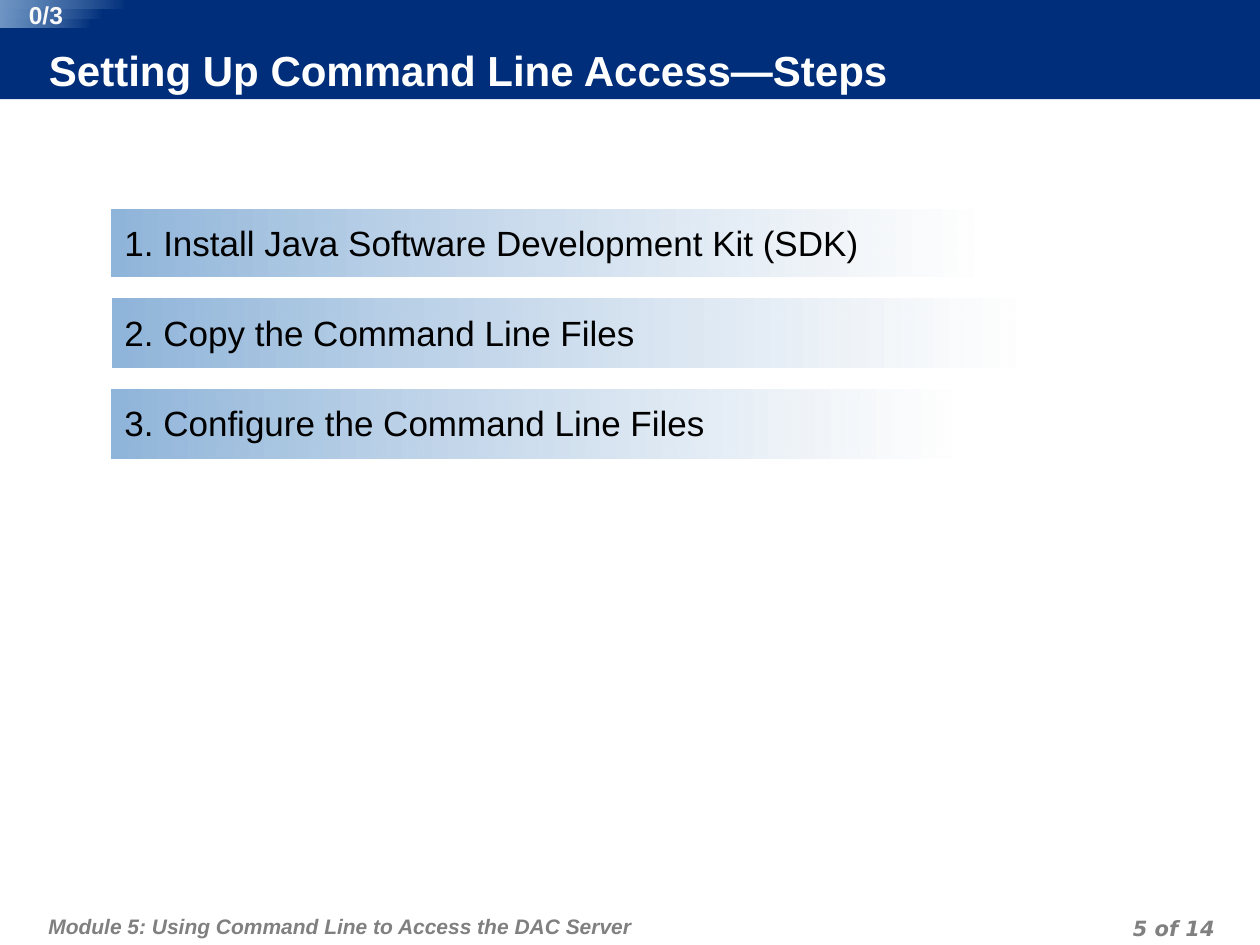
from pptx import Presentation
from pptx.dml.color import RGBColor
from pptx.enum.shapes import MSO_SHAPE as SHAPE
from pptx.enum.text import MSO_ANCHOR as ANCHOR, PP_ALIGN as ALIGN
from pptx.oxml.ns import qn
from pptx.util import Pt
from lxml import etree

COLORS = {
    "navy": "002E7A",
    "sky": "90B5DA",
    "fade": "FEFEFE",
    "white": "FFFFFF",
    "counter": "F8F8F8",
    "text": "000000",
    "footer": "808080",
}
SLIDE_W, SLIDE_H = 720, 540
STEPS = [
    ("1. Install Java Software Development Kit (SDK)", 119.5, 492.5, 38.5),
    ("2. Copy the Command Line Files", 170.5, 516.5, 39.5),
    ("3. Configure the Command Line Files", 222.5, 479.5, 39.5),
]


def color(name):
    return RGBColor.from_string(COLORS[name])


def add_box(slide, x, y, w, h, fill=None, kind=SHAPE.RECTANGLE):
    sp = slide.shapes.add_shape(kind, Pt(x), Pt(y), Pt(w), Pt(h))
    sp.shadow.inherit = False
    sp.line.fill.background()
    if fill:
        sp.fill.solid()
        sp.fill.fore_color.rgb = color(fill)
    return sp


def add_fading_bar(slide, x, y, w, h, stops):
    """Bar with a gradient from right to left; stops are (colour, opacity %)."""
    sp = add_box(slide, x, y, w, h, kind=SHAPE.ROUNDED_RECTANGLE)
    sp.adjustments[0] = 0
    sp.fill.gradient()
    sp.fill.gradient_angle = 180
    for stop, position, (name, _) in zip(sp.fill.gradient_stops, (0, 1), stops):
        stop.position = position
        stop.color.rgb = color(name)
    grad = sp._element.spPr.find(qn("a:gradFill"))
    for clr, (_, opacity) in zip(grad.iter(qn("a:srgbClr")), stops):
        if opacity < 100:
            etree.SubElement(clr, qn("a:alpha"), val=str(opacity * 1000))
    return sp


def write(sp, text, size, name, insets, align=ALIGN.LEFT, anchor=ANCHOR.TOP,
          font="Arial", bold=False, italic=False):
    tf = sp.text_frame
    tf.word_wrap = True
    tf.vertical_anchor = anchor
    tf.margin_left, tf.margin_top, tf.margin_right, tf.margin_bottom = map(Pt, insets)
    p = tf.paragraphs[0]
    p.alignment = align
    r = p.add_run()
    r.text = text
    r.font.name = font
    r.font.size = Pt(size)
    r.font.bold = bold
    r.font.italic = italic
    r.font.color.rgb = color(name)
    return p


def add_text(slide, x, y, w, h, *args, **kwargs):
    box = slide.shapes.add_textbox(Pt(x), Pt(y), Pt(w), Pt(h))
    return write(box, *args, **kwargs)


def add_header(slide, x, y, w, h):
    add_box(slide, x, y, w, h, "navy")
    title = add_box(slide, x + 28, y + 27.4, 566.6, 28.8, "navy")
    write(title, "Setting Up Command Line Access—Steps", 24, "white",
          (0, 0, 3.6, 3.6), anchor=ANCHOR.MIDDLE, bold=True)


def add_counter(slide, x, y, w, h):
    pitch = h / 3
    for i, share in enumerate((1, 0.81, 0.72)):
        add_fading_bar(slide, x, y + i * pitch, w * share, 4.7,
                       [("navy", 100), ("sky", 76)])
    add_text(slide, x + 7.9, y, 36.7, h, "0/3", 14, "counter", (0, 0, 0, 0),
             align=ALIGN.CENTER, bold=True)


def add_steps(slide, x):
    for text, y, w, h in STEPS:
        bar = add_fading_bar(slide, x, y, w, h, [("fade", 75), ("sky", 100)])
        write(bar, text, 20, "text", (7.2, 7.2, 7.2, 3.6))


def add_footer(slide, x, y, w):
    module = add_text(slide, x, y, 445, 28.8,
                      "Module 5: Using Command Line to Access the DAC Server",
                      12, "footer", (3.6, 7.2, 3.6, 3.6), bold=True, italic=True)
    page = add_text(slide, x + w - 168, y + 8.6, 168, 18, "5 of 14", 12, "footer",
                    (3.6, 0, 3.6, 0), align=ALIGN.RIGHT, font="DejaVu Sans",
                    bold=True, italic=True)
    for p in (module, page):
        p.line_spacing = Pt(18)


def main():
    prs = Presentation()
    prs.slide_width, prs.slide_height = Pt(SLIDE_W), Pt(SLIDE_H)
    slide = prs.slides.add_slide(prs.slide_layouts[6])
    add_header(slide, 0, 0, SLIDE_W, 56.7)
    add_footer(slide, 24, 511.2, 673.7)
    add_steps(slide, 64)
    add_counter(slide, 0, 0, 72.7, 16.8)
    prs.save("out.pptx")


if __name__ == "__main__":
    main()
